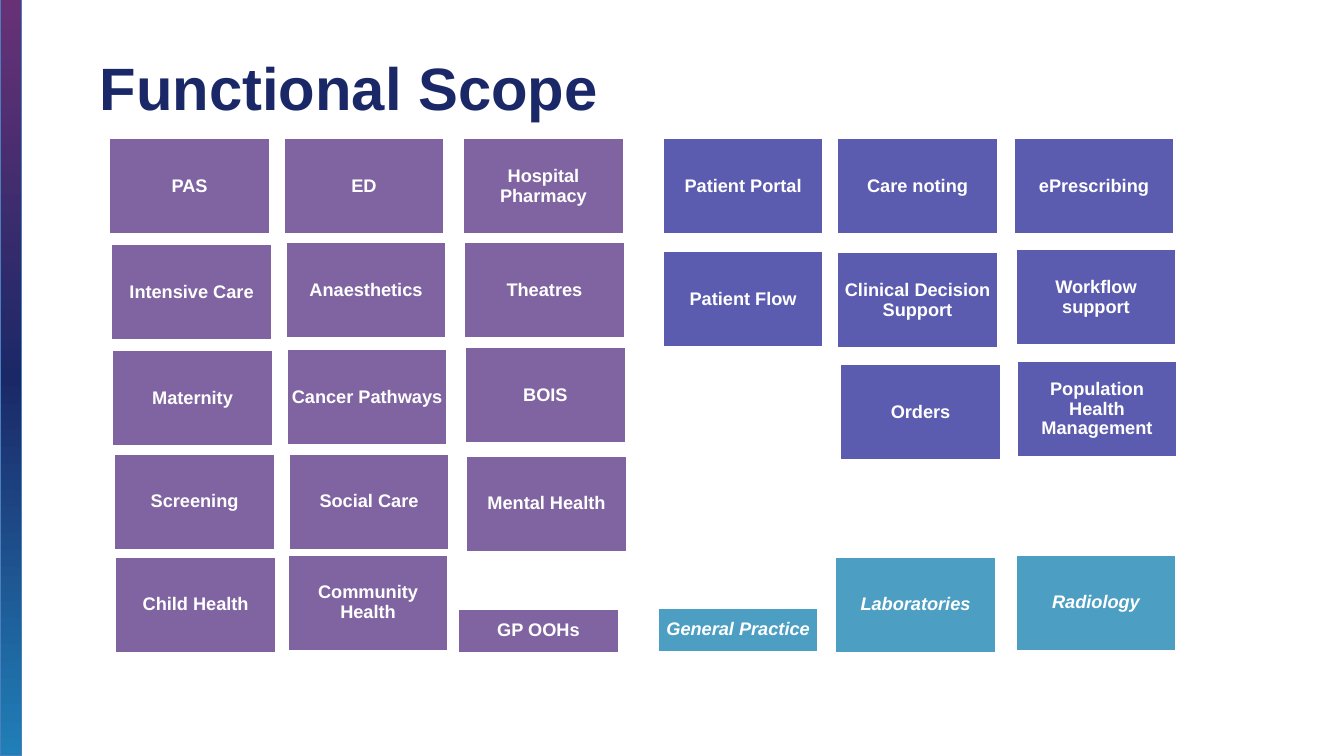
from copy import deepcopy

from pptx import Presentation
from pptx.dml.color import RGBColor
from pptx.enum.shapes import MSO_SHAPE
from pptx.enum.text import MSO_ANCHOR, PP_ALIGN
from pptx.util import Inches, Pt

RECTANGLE = MSO_SHAPE.RECTANGLE
TOP, MIDDLE = MSO_ANCHOR.TOP, MSO_ANCHOR.MIDDLE
LEFT, CENTER = PP_ALIGN.LEFT, PP_ALIGN.CENTER

TITLE = "Functional Scope"
FONT = "Arial"
NAVY, WHITE = "1B2867", "FFFFFF"
BAR_STOPS = [(0, "683176"), (0.5, NAVY), (1, "207FB8")]
BAR_LINE = "4B7EBC"

COLUMNS = [1.08, 2.81, 4.59, 6.57, 8.3, 10.05]
ROWS = [1.37, 2.4, 3.46, 4.5, 5.5]
TILE_WIDTH, TILE_HEIGHT, SHORT_HEIGHT = 1.6, 0.96, 0.44

# name, column, row, shift right and shift down in inches
CARE_SETTINGS = [
    ("PAS", 0, 0, 0, 0),
    ("ED", 1, 0, 0, 0),
    ("Hospital Pharmacy", 2, 0, 0, 0),
    ("Intensive Care", 0, 1, 0.02, 0.02),
    ("Anaesthetics", 1, 1, 0.02, 0),
    ("Theatres", 2, 1, 0.01, 0),
    ("Maternity", 0, 2, 0.03, 0.01),
    ("Cancer Pathways", 1, 2, 0.03, 0),
    ("BOIS", 2, 2, 0.02, -0.02),
    ("Screening", 0, 3, 0.05, 0),
    ("Social Care", 1, 3, 0.05, 0),
    ("Mental Health", 2, 3, 0.03, 0.02),
    ("Child Health", 0, 4, 0.06, 0.02),
    ("Community Health", 1, 4, 0.04, 0),
    ("GP OOHs", 2, 4, -0.05, 0.54),
]
SHARED_FUNCTIONS = [
    ("Patient Portal", 3, 0, 0, 0),
    ("Care noting", 4, 0, 0, 0),
    ("ePrescribing", 5, 0, 0, 0),
    ("Patient Flow", 3, 1, 0, 0.09),
    ("Clinical Decision Support", 4, 1, 0, 0.1),
    ("Workflow support", 5, 1, 0.02, 0.07),
    ("Orders", 4, 2, 0.03, 0.15),
    ("Population Health Management", 5, 2, 0.03, 0.12),
]
LINKED_SERVICES = [
    ("General Practice", 3, 4, -0.05, 0.53),
    ("Laboratories", 4, 4, -0.02, 0.02),
    ("Radiology", 5, 4, 0.02, 0),
]
GROUPS = [
    ("8064A2", False, CARE_SETTINGS),
    ("5B5BAF", False, SHARED_FUNCTIONS),
    ("4D9EC3", True, LINKED_SERVICES),
]
SHORT_TILES = {"GP OOHs", "General Practice"}


def color(value):
    return RGBColor.from_string(value)


def write(shape, text, size, text_color, anchor, alignment, insets, italic=False):
    frame = shape.text_frame
    frame.text = text
    frame.word_wrap = True
    frame.vertical_anchor = anchor
    frame.margin_left = frame.margin_right = Inches(insets[0])
    frame.margin_top = frame.margin_bottom = Inches(insets[1])
    paragraph = frame.paragraphs[0]
    paragraph.alignment = alignment
    font = paragraph.runs[0].font
    font.name, font.size = FONT, Pt(size)
    font.bold, font.italic = True, italic
    font.color.rgb = color(text_color)
    return paragraph


def add_box(slide, left, top, width, height, line_color, line_width):
    shape = slide.shapes.add_shape(
        RECTANGLE, Inches(left), Inches(top), Inches(width), Inches(height))
    shape.shadow.inherit = False
    shape.line.color.rgb = color(line_color)
    shape.line.width = Pt(line_width)
    return shape


def add_side_bar(slide):
    bar = add_box(slide, 0, 0, 0.21, 7.5, BAR_LINE, 0.75)
    bar.fill.gradient()
    bar.fill.gradient_angle = 270
    first_stop = bar.fill._fill._gradFill.gsLst[0]
    first_stop.addnext(deepcopy(first_stop))
    for stop, (position, value) in zip(bar.fill.gradient_stops, BAR_STOPS):
        stop.position = position
        stop.color.rgb = color(value)


def add_title(slide):
    title = slide.shapes.title
    title.left, title.top = Inches(0.92), Inches(0.4)
    title.width, title.height = Inches(11.5), Inches(1.45)
    write(title, TITLE, 42.7, NAVY, TOP, LEFT, (0.07, 0.1))


def add_tile(slide, fill_color, italic, name, column, row, right, down):
    height = SHORT_HEIGHT if name in SHORT_TILES else TILE_HEIGHT
    tile = add_box(slide, COLUMNS[column] + right, ROWS[row] + down,
                   TILE_WIDTH, height, WHITE, 2)
    tile.fill.solid()
    tile.fill.fore_color.rgb = color(fill_color)
    paragraph = write(tile, name, 13, WHITE, MIDDLE, CENTER, (0.05, 0.05), italic)
    paragraph.line_spacing = 0.9


def main():
    presentation = Presentation()
    presentation.slide_width = Inches(13.33)
    presentation.slide_height = Inches(7.5)
    slide = presentation.slides.add_slide(presentation.slide_layouts[5])
    add_side_bar(slide)
    add_title(slide)
    for fill_color, italic, tiles in GROUPS:
        for tile in tiles:
            add_tile(slide, fill_color, italic, *tile)
    presentation.save("out.pptx")


if __name__ == "__main__":
    main()
